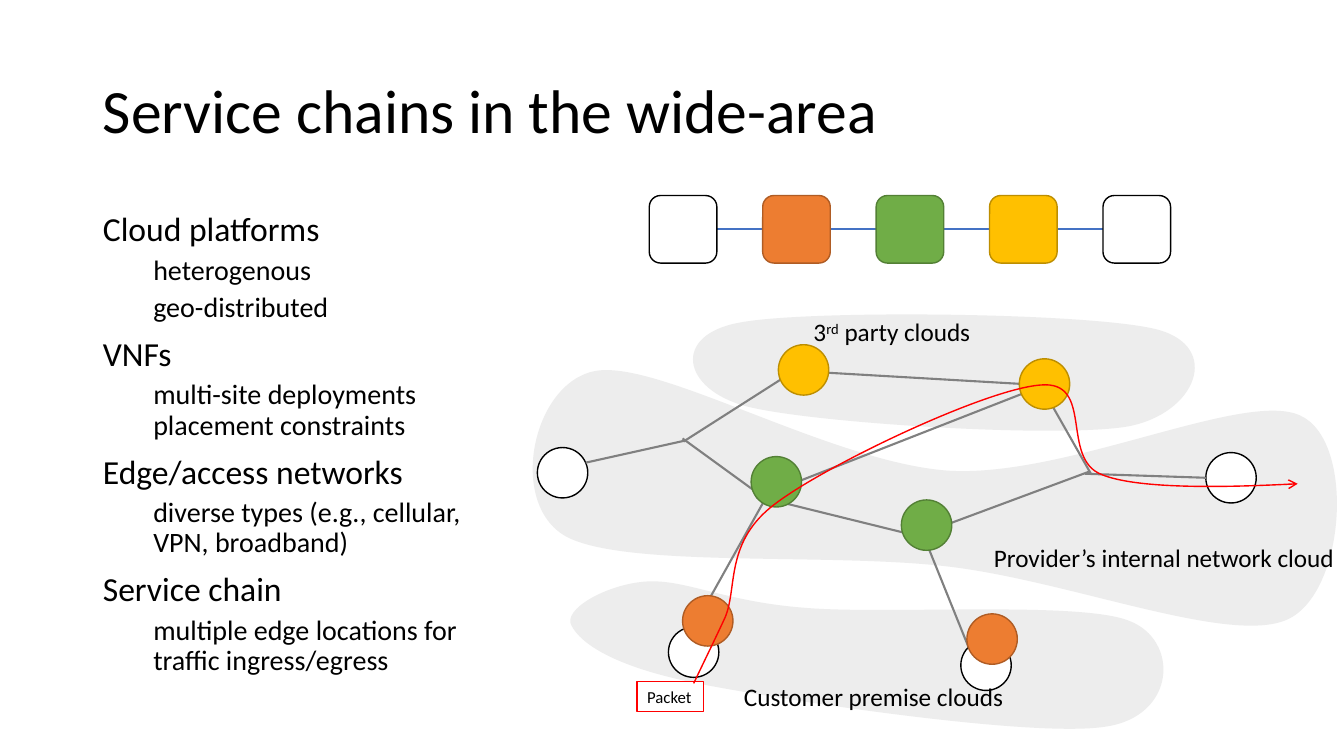
from collections import namedtuple

from lxml import etree
from pptx import Presentation
from pptx import util as u
from pptx.dml.color import RGBColor
from pptx.enum import shapes, text
from pptx.oxml import ns

PX = 9144
FONT = "Calibri"
BLACK = RGBColor(0x00, 0x00, 0x00)
WHITE = RGBColor(0xFF, 0xFF, 0xFF)
RED = RGBColor(0xFF, 0x00, 0x00)
BLUE = RGBColor(0x44, 0x72, 0xC4)
GREY = RGBColor(0x80, 0x80, 0x80)
CLOUD = RGBColor(0xED, 0xED, 0xED)
PLAIN = (WHITE, BLACK)
ORANGE = (RGBColor(0xED, 0x7D, 0x31), RGBColor(0xAF, 0x5C, 0x24))
GREEN = (RGBColor(0x70, 0xAD, 0x47), RGBColor(0x53, 0x80, 0x35))
YELLOW = (RGBColor(0xFF, 0xC0, 0x00), RGBColor(0xBD, 0x8E, 0x00))

Box = namedtuple("Box", "left top width height")

TOPICS = [
    ("Cloud platforms", ["heterogenous", "geo-distributed"]),
    ("VNFs", ["multi-site deployments placement constraints"]),
    ("Edge/access networks", ["diverse types (e.g., cellular, VPN, broadband)"]),
    ("Service chain", ["multiple edge locations for traffic ingress/egress"]),
]

INTERNAL_CLOUD = [
    (91, 68), (154, 57), (325, 159), (441, 167), (558, 174), (733, 87), (789, 112),
    (845, 136), (835, 290), (776, 315), (718, 340), (560, 276), (440, 262),
    (321, 248), (119, 264), (61, 232), (3, 199), (28, 79), (91, 68)]
PARTY_CLOUD = [
    (234, 20), (166, 32), (176, 86), (240, 103), (305, 120), (551, 135), (619, 123),
    (687, 110), (712, 44), (648, 27), (584, 10), (302, 7), (234, 20)]
CUSTOMER_CLOUD = [
    (140, 277), (179, 274), (218, 297), (298, 303), (378, 310), (571, 296), (620, 316),
    (670, 335), (667, 411), (596, 421), (525, 432), (285, 396), (197, 379),
    (108, 362), (76, 338), (67, 321), (57, 305), (101, 280), (140, 277)]
ROUTE = [
    (188, 378), (196, 361), (205, 343), (219, 313), (232, 283), (218, 237), (270, 199),
    (322, 160), (478, 86), (532, 82), (586, 77), (551, 155), (593, 171),
    (635, 188), (787, 180), (787, 180)]
LINKS = [
    (536, 82, 250, 194), (81, 159, 180, 137), (178, 138, 294, 64), (254, 191, 177, 135),
    (264, 186, 188, 322), (532, 82, 290, 68), (461, 343, 415, 229), (257, 194, 415, 233),
    (532, 82, 582, 170), (580, 168, 416, 229), (696, 174, 576, 170)]
ENDPOINTS = [(163, 322), (453, 335), (33, 144), (696, 149)]
FUNCTIONS = [
    (245, 153, GREEN), (272, 42, YELLOW), (394, 196, GREEN),
    (177, 291, ORANGE), (459, 309, ORANGE), (511, 56, YELLOW)]
LABELS = [
    (297, 9, 256, [("3", 0), ("rd", 30000), (" party clouds", 0)]),
    (228, 371, 315, [("Customer premise clouds", 0)]),
    (476, 233, 366, [("Provider’s internal network cloud", 0)])]


def to_emu(box):
    return [round(length * PX) for length in box]


def style_run(span, size):
    span.font.name = FONT
    span.font.size = u.Pt(size)
    span.font.color.rgb = BLACK


def add_node(page, kind, box, colours):
    node = page.shapes.add_shape(kind, *to_emu(box))
    node.shadow.inherit = False
    node.fill.solid()
    node.fill.fore_color.rgb, node.line.color.rgb = colours
    node.line.width = u.Pt(1)
    return node


def add_link(page, start, end, colour):
    link = page.shapes.add_connector(
        shapes.MSO_CONNECTOR.STRAIGHT, *to_emu(start), *to_emu(end))
    link.line.color.rgb = colour
    link.line.width = u.Pt(1.5)
    etree.SubElement(link._element.spPr, ns.qn("a:effectLst"))


def curve_points(knots, steps=24):
    for first in range(0, len(knots) - 1, 3):
        for step in range(steps + 1):
            t = step / steps
            weights = ((1 - t) ** 3, 3 * t * (1 - t) ** 2, 3 * t ** 2 * (1 - t), t ** 3)
            yield to_emu(
                sum(w * knot[axis] for w, knot in zip(weights, knots[first:first + 4]))
                for axis in (0, 1))


def add_curve(page, box, knots, closed):
    knots = [(box.left + x, box.top + y) for x, y in knots]
    extent = list(curve_points(knots))
    builder = page.shapes.build_freeform(*extent[0])
    builder.add_line_segments(extent[1:], close=False)
    curve = builder.convert_to_shape()
    curve.shadow.inherit = False
    outline = next(curve._element.iter(ns.qn("a:path")))
    for segment in list(outline):
        outline.remove(segment)
    groups = [knots[:1]] + [knots[i:i + 3] for i in range(1, len(knots), 3)]
    for group in groups:
        tag = "a:cubicBezTo" if len(group) == 3 else "a:moveTo"
        segment = etree.SubElement(outline, ns.qn(tag))
        for x, y in map(to_emu, group):
            etree.SubElement(segment, ns.qn("a:pt"),
                             x=str(x - curve.left), y=str(y - curve.top))
    if closed:
        etree.SubElement(outline, ns.qn("a:close"))
    return curve


def add_title(page, box):
    title = page.shapes.title
    title.left, title.top, title.width, title.height = to_emu(box)
    frame = title.text_frame
    frame.text = "Service chains in the wide-area"
    frame.vertical_anchor = text.MSO_ANCHOR.MIDDLE
    frame.auto_size = text.MSO_AUTO_SIZE.NONE
    para = frame.paragraphs[0]
    para.alignment = text.PP_ALIGN.LEFT
    para.line_spacing = 0.9
    style_run(para.runs[0], 44)


def add_topics(page, box):
    body = page.placeholders[1]
    body.left, body.top, body.width, body.height = to_emu(box)
    frame = body.text_frame
    rows = [row for heading, details in TOPICS
            for row in [(heading, 0)] + [(detail, 1) for detail in details]]
    frame.text = "\n".join(wording for wording, level in rows)
    frame.auto_size = text.MSO_AUTO_SIZE.NONE
    for index, (para, (wording, level)) in enumerate(zip(frame.paragraphs, rows)):
        para.level = level
        para.line_spacing = 0.9
        para.space_before = u.Pt((5 if level else 10) if index else 0)
        properties = para._p.get_or_add_pPr()
        properties.set("marL", str(50 * PX * level))
        properties.set("indent", "0")
        etree.SubElement(properties, ns.qn("a:buNone"))
        style_run(para.runs[0], 20 if level else 24)


def add_chain(page, box):
    colours = [PLAIN, ORANGE, GREEN, YELLOW, PLAIN]
    side = box.height
    step = (box.width - side) / (len(colours) - 1)
    middle = box.top + side / 2
    add_link(page, (box.left + side, middle), (box.left + box.width - side, middle), BLUE)
    for index, pair in enumerate(colours):
        place = Box(box.left + index * step, box.top, side, side)
        add_node(page, shapes.MSO_SHAPE.ROUNDED_RECTANGLE, place, pair)


def add_circle(page, box, x, y, colours):
    place = Box(box.left + x, box.top + y, 50, 50)
    add_node(page, shapes.MSO_SHAPE.OVAL, place, colours)


def add_label(page, box, spans):
    frame = page.shapes.add_textbox(*to_emu(box)).text_frame
    frame.word_wrap = True
    for wording, baseline in spans:
        span = frame.paragraphs[0].add_run()
        span.text = wording
        style_run(span, 18)
        if baseline:
            span.font._element.set("baseline", str(baseline))


def add_packet(page, box):
    packet = add_node(page, shapes.MSO_SHAPE.RECTANGLE, box, (WHITE, RED))
    frame = packet.text_frame
    frame.text = "Packet"
    frame.word_wrap = False
    para = frame.paragraphs[0]
    para.alignment = text.PP_ALIGN.LEFT
    style_run(para.runs[0], 12)


def add_network(page, box):
    for knots in (INTERNAL_CLOUD, PARTY_CLOUD, CUSTOMER_CLOUD):
        cloud = add_curve(page, box, knots, True)
        cloud.fill.solid()
        cloud.fill.fore_color.rgb = CLOUD
        cloud.line.fill.background()
    for x, y in ENDPOINTS:
        add_circle(page, box, x, y, PLAIN)
    for x1, y1, x2, y2 in LINKS:
        add_link(page, (box.left + x1, box.top + y1), (box.left + x2, box.top + y2), GREY)
    for x, y, width, spans in LABELS:
        add_label(page, Box(box.left + x, box.top + y, width, 40), spans)
    for x, y, colours in FUNCTIONS:
        add_circle(page, box, x, y, colours)
    add_packet(page, Box(box.left + 132, box.top + 376, 66, 30))
    route = add_curve(page, box, ROUTE, False)
    route.fill.background()
    route.line.color.rgb = RED
    route.line.width = u.Pt(1)
    etree.SubElement(route.line._get_or_add_ln(), ns.qn("a:tailEnd"), type="arrow")


def main():
    deck = Presentation()
    deck.slide_width, deck.slide_height = to_emu((1333, 750))
    page = deck.slides.add_slide(deck.slide_layouts[1])
    add_title(page, Box(92, 40, 1150, 145))
    add_topics(page, Box(92, 206, 392, 476))
    add_chain(page, Box(644, 194, 517, 67))
    add_network(page, Box(500, 300, 833, 450))
    deck.save("out.pptx")


if __name__ == "__main__":
    main()
